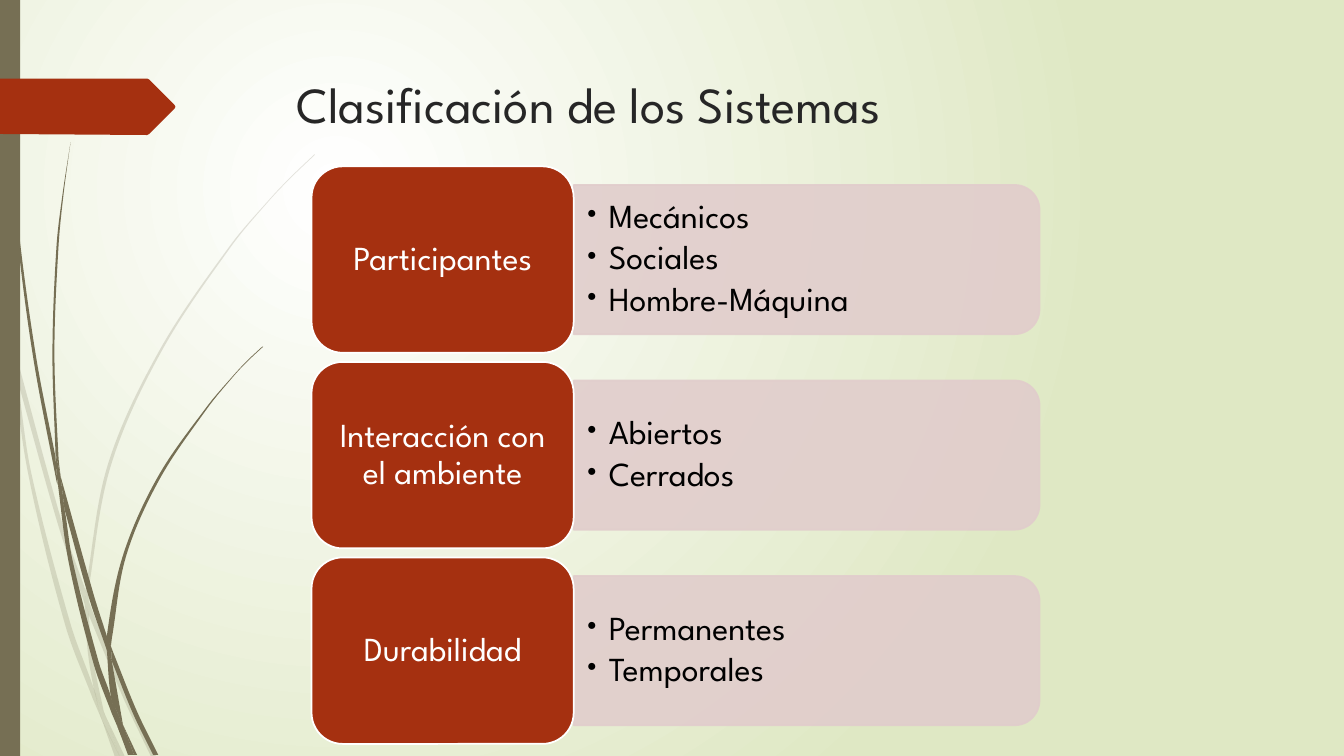
import math

import pptx
import pptx.dml.color
import pptx.enum.shapes
import pptx.enum.text
import pptx.oxml.ns
import pptx.util
from lxml import etree

Inches = pptx.util.Inches
Pt = pptx.util.Pt
RGB = pptx.dml.color.RGBColor
Shape = pptx.enum.shapes.MSO_SHAPE
Align = pptx.enum.text.PP_ALIGN
Anchor = pptx.enum.text.MSO_ANCHOR
qn = pptx.oxml.ns.qn

WHITE = RGB(0xFF, 0xFF, 0xFF)
BLACK = RGB(0x00, 0x00, 0x00)
INK = RGB(0x26, 0x26, 0x26)
PALE_GREEN = RGB(0xDF, 0xE8, 0xC4)
OLIVE = RGB(0x76, 0x6F, 0x54)
RUST = RGB(0xA5, 0x30, 0x10)
ROSE = RGB(0xE1, 0xCD, 0xCC)

FONT = "League Spartan"
WIDTH, HEIGHT = 13.33, 7.5
LABEL_X, PANEL_X = 3.09, 5.69
LABEL_W, PANEL_W = 2.6, 4.62
LABEL_H, PANEL_H = 1.85, 1.48
TOP, PITCH = 1.65, 1.94
LABEL_PAD = 0.09

CATEGORIES = [
    ("Participantes", ["Mecánicos", "Sociales", "Hombre-Máquina"]),
    ("Interacción con el ambiente", ["Abiertos", "Cerrados"]),
    ("Durabilidad", ["Permanentes", "Temporales"]),
]

PALE_BLADES = [
    ([(0.11, 3.5), (0.09, 3.22), (0, 2.82)], [(0, 2.99), (0.1, 3.44)]),
    ([(0.14, 3.45), (0.62, 5.2), (0.85, 5.86)], [(0.84, 5.99), (0.58, 5.22), (0.17, 3.76)]),
    ([(0.88, 5.96), (0.92, 6.07), (1.27, 6.92), (1.55, 7.51)],
     [(1.5, 7.51), (1.23, 6.94), (0.88, 6.1)]),
    ([(1.05, 7.11), (1.24, 7.51)], [(1.19, 7.51)]),
    ([(0.11, 3.5), (0.17, 3.76), (0.31, 4.69), (0.7, 6.19), (0.93, 6.83), (0.99, 7.07), (1.01, 7.14)],
     [(0.92, 6.93), (0.65, 6.21), (0.28, 4.7), (0.11, 3.5)]),
    ([(0.88, 6.08), (0.91, 6.46), (1.03, 7.06), (1.05, 7.11)],
     [(0.96, 6.92), (0.93, 6.83), (0.87, 6.46), (0.84, 5.99)]),
    ([(0.88, 5.96), (0.88, 5.84), (1.1, 4.62), (1.6, 3.49), (2.29, 2.45), (2.68, 1.98),
      (2.9, 1.75), (3.12, 1.54)],
     [(3.12, 1.53), (2.89, 1.75), (2.68, 1.97), (2.28, 2.44), (1.58, 3.48), (1.07, 4.61),
      (0.85, 5.84), (0.85, 5.86)]),
    ([(1.01, 7.14), (1.14, 7.51)], [(1.19, 7.51)]),
    ([(0.88, 6.08), (0.88, 5.96)], [(0.85, 5.86), (0.84, 5.99)]),
    ([(0.93, 6.83), (0.99, 7.07), (1.01, 7.14), (1.19, 7.51)], [(1.05, 7.11), (0.96, 6.92)]),
]

DARK_BLADES = [
    ([(0.04, 0), (0.05, 0.48), (0.08, 1.09), (0.19, 2.32), (0.36, 3.55), (0.55, 4.53)],
     [(0.57, 4.81), (0.56, 4.77), (0.33, 3.55), (0.17, 2.33), (0.07, 1.1), (0.04, 0.48), (0.03, 0)]),
    ([(0.6, 4.72), (0.93, 5.9), (1.06, 6.31)], [(1.06, 6.45), (0.88, 5.92), (0.64, 5.05)]),
    ([(1.1, 6.41), (1.13, 6.49), (1.36, 7.06), (1.57, 7.49)],
     [(1.52, 7.49), (1.32, 7.08), (1.11, 6.56)]),
    ([(0.57, 4.77), (0.64, 5.05), (0.72, 5.56), (0.98, 6.57), (1.1, 6.91), (1.17, 7.22)],
     [(1.11, 7.08), (0.93, 6.59), (0.68, 5.57), (0.57, 4.77)]),
    ([(0.6, 4.72), (0.58, 4.53), (0.54, 3.49), (0.58, 2.45), (0.63, 1.93), (0.7, 1.41)],
     [(0.7, 1.41), (0.62, 1.93), (0.56, 2.45), (0.52, 3.49), (0.55, 4.49)]),
    ([(1.22, 7.19), (1.36, 7.49)], [(1.33, 7.49)]),
    ([(0.55, 4.49), (0.57, 4.77), (0.64, 5.05)], [(0.6, 4.72)]),
    ([(1.11, 6.33), (1.25, 5.52), (1.58, 4.76), (2.05, 4.06), (2.31, 3.74), (2.45, 3.59), (2.61, 3.44)],
     [(2.6, 3.44), (2.45, 3.58), (2.31, 3.73), (2.04, 4.05), (1.56, 4.74), (1.22, 5.51),
      (1.06, 6.31), (1.1, 6.41)]),
    ([(1.17, 7.22), (1.27, 7.49)], [(1.31, 7.49)]),
    ([(1.06, 6.45), (1.1, 6.91), (1.16, 7.06), (1.22, 7.19)], [(1.11, 6.56)]),
    ([(1.06, 6.31), (1.06, 6.45), (1.11, 6.56)], [(1.1, 6.41)]),
    ([(1.1, 6.91), (1.17, 7.22), (1.3, 7.49)], [(1.33, 7.49), (1.22, 7.19), (1.16, 7.06)]),
]

BANNER = [(0, 0.78), (1.46, 0.78), (1.48, 0.79), (1.73, 1.04), (1.74, 1.06),
          (1.73, 1.08), (1.48, 1.33), (1.46, 1.34), (0, 1.33)]


def control(before, at, after, reach):
    dx, dy = after[0] - before[0], after[1] - before[1]
    scale = reach / (math.hypot(dx, dy) or 1)
    return at[0] + dx * scale, at[1] + dy * scale


def bend(sp, edge_lengths):
    segments = list(sp._element.spPr.iter(qn("a:moveTo"), qn("a:lnTo")))
    points = [(int(s[0].get("x")), int(s[0].get("y"))) for s in segments]
    first = 0
    for length in edge_lengths:
        last = first + length - 1
        for i in range(first, last):
            a, b, c, d = (points[min(max(j, first), last)] for j in range(i - 1, i + 3))
            reach = math.dist(b, c) / 3
            curve = etree.Element(qn("a:cubicBezTo"))
            for x, y in (control(a, b, c, reach), control(d, c, b, reach), c):
                etree.SubElement(curve, qn("a:pt"), x=str(round(x)), y=str(round(y)))
            old = segments[i + 1]
            old.getparent().replace(old, curve)
        first = last + 1


def set_alpha(sp, percent):
    for clr in sp._element.spPr.iter(qn("a:srgbClr")):
        etree.SubElement(clr, qn("a:alpha"), val=str(percent * 1000))


def paint(sp, fill, line=None):
    sp.shadow.inherit = False
    sp.fill.solid()
    sp.fill.fore_color.rgb = fill
    if line is None:
        sp.line.fill.background()
    else:
        sp.line.color.rgb = line
        sp.line.width = Pt(1.25)
    return sp


def add_shape(slide, kind, box, fill, line=None):
    return paint(slide.shapes.add_shape(kind, *map(Inches, box)), fill, line)


def add_outline(slide, points, fill):
    emu = [(Inches(x), Inches(y)) for x, y in points]
    builder = slide.shapes.build_freeform(*emu[0])
    builder.add_line_segments(emu[1:])
    return paint(builder.convert_to_shape(), fill)


def add_blades(slide, blades, alpha=None):
    parts = []
    for near, far in blades:
        sp = add_outline(slide, near + far, OLIVE)
        bend(sp, (len(near), len(far)))
        if alpha:
            set_alpha(sp, alpha)
        parts.append(sp)
    slide.shapes.add_group_shape(parts)


def style_font(p, size, color):
    p.font.name = FONT
    p.font.size = Pt(size)
    p.font.color.rgb = color


def add_text(slide, box, lines, color, align, space_after):
    tf = slide.shapes.add_textbox(*map(Inches, box)).text_frame
    tf.word_wrap = True
    tf.vertical_anchor = Anchor.MIDDLE
    tf.text = "\n".join(lines)
    for p in tf.paragraphs:
        p.alignment = align
        p.line_spacing = 0.9
        p.space_after = Pt(space_after)
        style_font(p, 24, color)
    return tf


def add_bullets(tf):
    for p in tf.paragraphs:
        pPr = p._p.get_or_add_pPr()
        pPr.set("marL", str(Inches(0.25)))
        pPr.set("indent", str(Inches(-0.25)))
        font = pPr.find(qn("a:defRPr"))
        font.addprevious(etree.Element(qn("a:buFont"), typeface=FONT))
        font.addprevious(etree.Element(qn("a:buChar"), char="•"))


def add_category(slide, row, label, items):
    y = TOP + row * PITCH
    middle = y + LABEL_H / 2
    panel = add_shape(slide, Shape.ROUND_2_SAME_RECTANGLE,
                      (PANEL_X + (PANEL_W - PANEL_H) / 2, middle - PANEL_W / 2, PANEL_H, PANEL_W),
                      ROSE, ROSE)
    panel.rotation = 90
    set_alpha(panel, 90)
    add_bullets(add_text(slide, (PANEL_X, middle - 0.67, 4.55, 1.33), items,
                         BLACK, Align.LEFT, 3.6))
    add_shape(slide, Shape.ROUNDED_RECTANGLE, (LABEL_X, y, LABEL_W, LABEL_H), RUST, WHITE)
    add_text(slide, (LABEL_X + LABEL_PAD, y + LABEL_PAD,
                     LABEL_W - 2 * LABEL_PAD, LABEL_H - 2 * LABEL_PAD),
             [label], WHITE, Align.CENTER, 8.4)


def set_background(slide):
    fill = slide.background.fill
    fill.gradient()
    for stop, color, position in zip(fill.gradient_stops, (WHITE, PALE_GREEN), (0, 1)):
        stop.color.rgb = color
        stop.position = position
    grad = next(slide._element.iter(qn("a:gradFill")))
    radial = etree.Element(qn("a:path"), path="circle")
    etree.SubElement(radial, qn("a:fillToRect"), l="50000", t="50000", r="100000", b="100000")
    grad.replace(grad.find(qn("a:lin")), radial)


def set_title(slide, text):
    sp = slide.shapes.title
    sp.left, sp.top, sp.width, sp.height = map(Inches, (2.84, 0.68, 9.75, 1.4))
    tf = sp.text_frame
    tf.text = text
    tf.vertical_anchor = Anchor.TOP
    tf.auto_size = pptx.enum.text.MSO_AUTO_SIZE.NONE
    tf.paragraphs[0].alignment = Align.LEFT
    style_font(tf.paragraphs[0], 36, INK)


def main():
    prs = pptx.Presentation()
    prs.slide_width, prs.slide_height = Inches(WIDTH), Inches(HEIGHT)
    slide = prs.slides.add_slide(prs.slide_layouts[5])
    set_background(slide)
    add_blades(slide, PALE_BLADES, alpha=20)
    add_blades(slide, DARK_BLADES)
    add_shape(slide, Shape.RECTANGLE, (0, 0, 0.2, HEIGHT), OLIVE)
    add_outline(slide, BANNER, RUST)
    set_title(slide, "Clasificación de los Sistemas")
    for row, (label, items) in enumerate(CATEGORIES):
        add_category(slide, row, label, items)
    prs.save("out.pptx")


if __name__ == "__main__":
    main()
